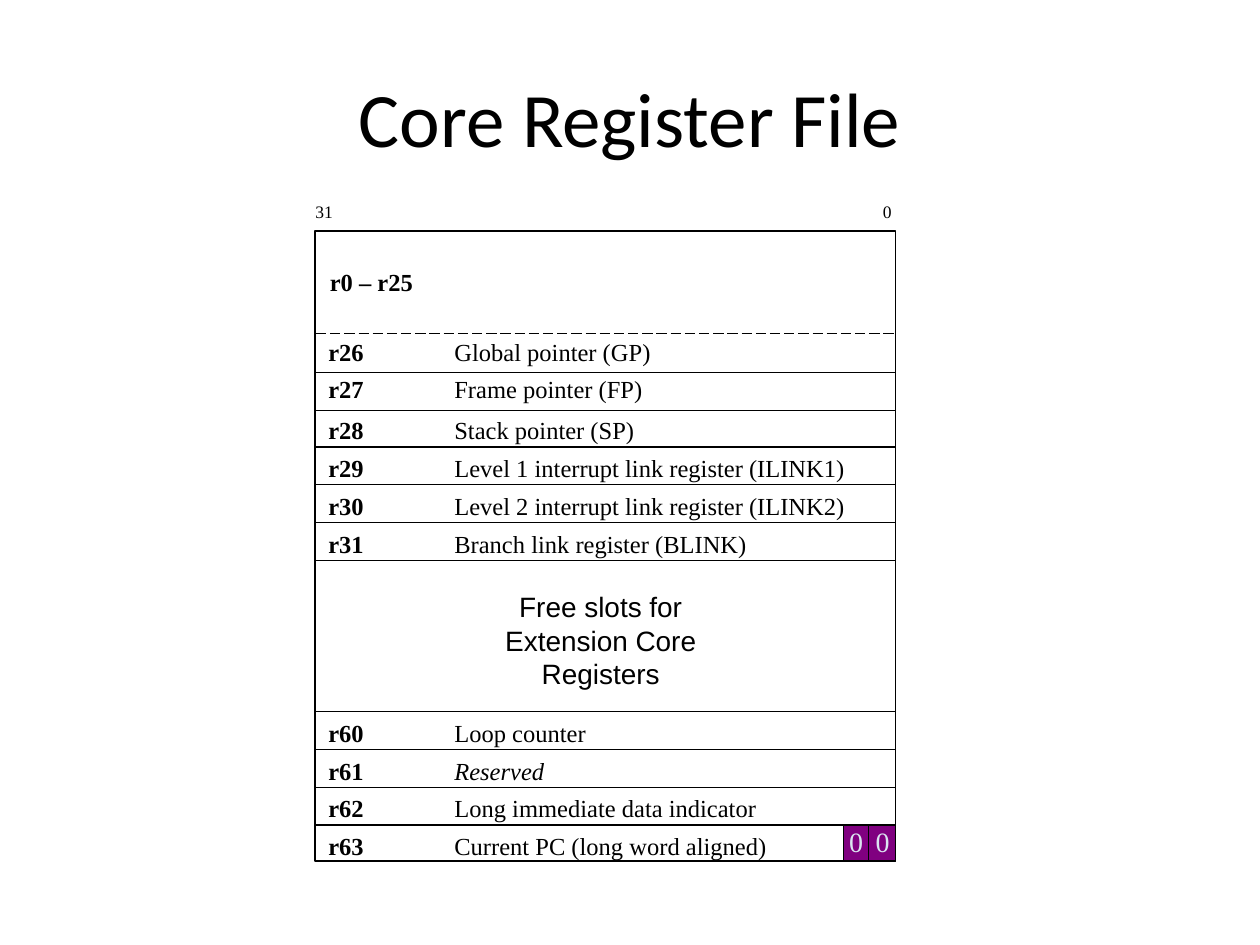
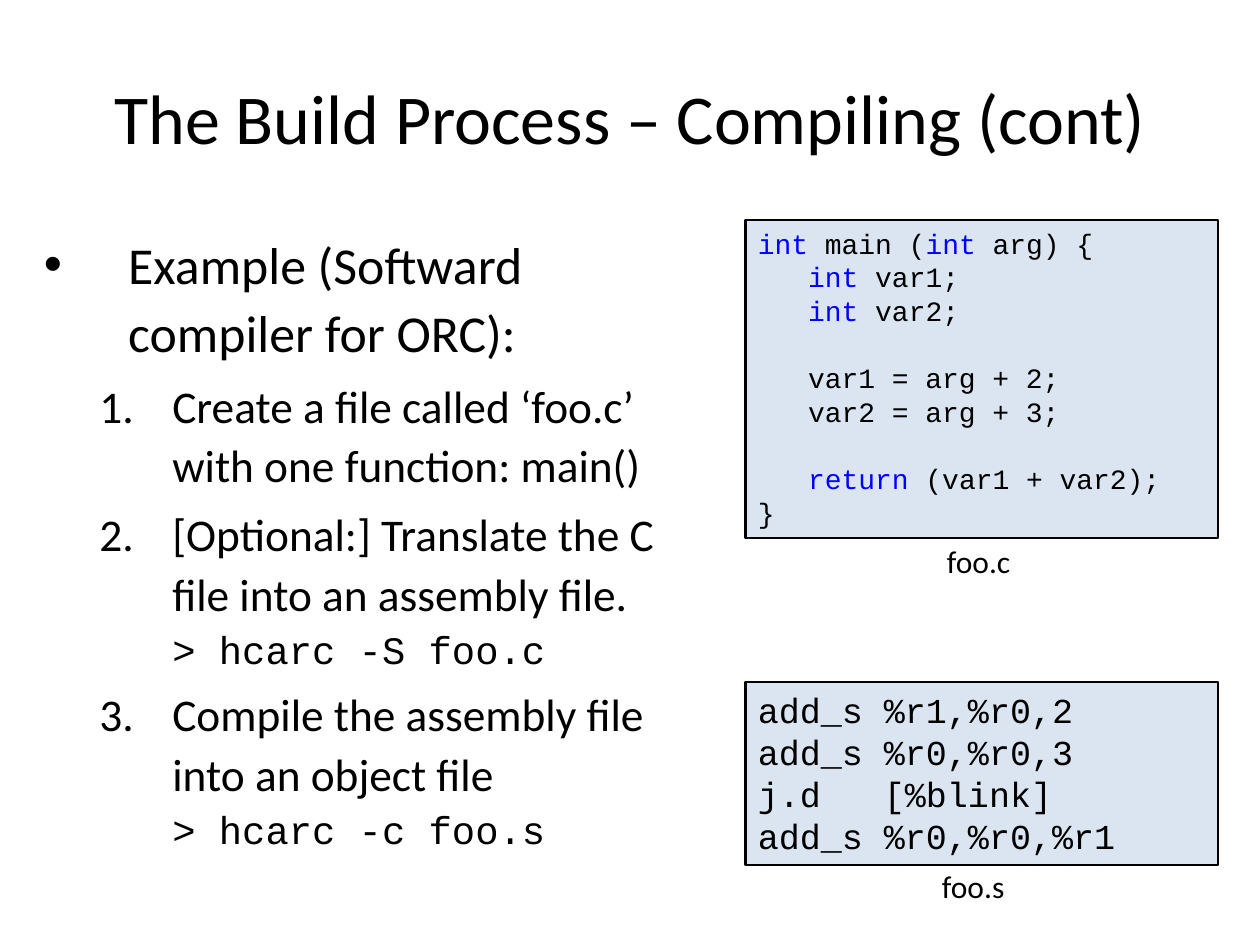
"""Builds two slides: a core register map and a compiling example."""
from copy import deepcopy
from lxml import etree
from pptx import Presentation
from pptx.dml.color import RGBColor
from pptx.enum import dml, shapes, text
from pptx.oxml import ns
from pptx.util import Cm, Pt

BLACK = RGBColor(0, 0, 0)
WHITE = RGBColor(255, 255, 255)
BLUE = RGBColor(0, 0, 255)
PALE = RGBColor(0xDB, 0xE5, 0xF1)
PURPLE = RGBColor(0x80, 0, 0x80)
SERIF, SANS, MONO, BODY = "Times New Roman", "Arial", "Courier New", "Calibri"

LEFT, WIDE, PITCH, TAB = 6.37, 11.68, 0.76, 2.54
DASH = 6.72
RULES = [7.51, 8.28]
TOPS = [6.67, 7.42, 8.24]
LINKTOPS = [9.01 + PITCH * i for i in range(3)]
LASTTOPS = [14.35 + PITCH * i for i in range(4)]
POINTERS = ["Global pointer (GP)", "Frame pointer (FP)", "Stack pointer (SP)"]
LINKS = ["Level 1 interrupt link register (ILINK1)",
         "Level 2 interrupt link register (ILINK2)",
         "Branch link register (BLINK)"]
LASTS = ["Loop counter", "Reserved", "Long immediate data indicator",
         "Current PC (long word aligned)"]
BLOCKS = [(26, TOPS, POINTERS), (29, LINKTOPS, LINKS), (60, LASTTOPS, LASTS)]

STEPS = [
    "Example (Softward compiler for ORC):",
    "Create a file called ‘foo.c’ with one function: main()",
    "[Optional:] Translate the C file into an assembly file.\n~> hcarc -S foo.c",
    "Compile the assembly file into an object file\n~> hcarc -c foo.s",
]
SOURCE = ["~int~ main (~int ~arg) {", "   ~int~ var1;", "   ~int~ var2;", "",
          "   var1 = arg + 2;", "   var2 = arg + 3;", "",
          "   ~return~ (var1 + var2);", "}"]
ASM = ["add_s\t%r1,%r0,2", "add_s\t%r0,%r0,3", "j.d\t[%blink]",
       "add_s\t%r0,%r0,%r1"]
LISTS = [(SOURCE, 4.44, 6.41, 16), (ASM, 13.75, 3.69, 20)]
NAMES = [("foo.c", 18.84, 10.8), ("foo.s", 18.74, 17.35)]


def style(run, size, face, color=BLACK, bold=False, ital=False):
    font = run.font
    font.size, font.name = Pt(size), face
    font.bold, font.italic = bold, ital
    font.color.rgb = color


def write(frame, lines, size, face, alt=None, align=None, **look):
    """Fills a frame; pieces between ~ marks take the alt format."""
    base = dict(size=size, face=face, **look)
    for i, line in enumerate(lines):
        para = frame.add_paragraph() if i else frame.paragraphs[0]
        para.alignment = align
        if "\t" in line:
            stops = etree.SubElement(para._p.get_or_add_pPr(), ns.qn("a:tabLst"))
            stop = etree.SubElement(stops, ns.qn("a:tab"))
            stop.set("pos", str(Cm(TAB)))
            stop.set("algn", "l")
        for j, piece in enumerate(line.split("~")):
            if piece:
                run = para.add_run()
                run.text = piece.rstrip("\n")
                style(run, **{**base, **(alt or {} if j % 2 else {})})
                if piece.endswith("\n"):
                    para.add_line_break()
                    para._p[-1].append(deepcopy(run._r.rPr))
        if not line:
            end = etree.SubElement(para._p, ns.qn("a:endParaRPr"))
            end.set("sz", str(size * 100))


def label(slide, words, x, y, w, h, size, face, wrap=True, **look):
    frame = slide.shapes.add_textbox(Cm(x), Cm(y), Cm(w), Cm(h)).text_frame
    frame.word_wrap = wrap
    write(frame, [words], size, face, **look)


def box(slide, x, y, w, h, fill, width):
    shape = slide.shapes.add_shape(shapes.MSO_SHAPE.RECTANGLE,
                                   Cm(x), Cm(y), Cm(w), Cm(h))
    shape.shadow.inherit = False
    shape.fill.solid()
    shape.fill.fore_color.rgb = fill
    shape.line.color.rgb = BLACK
    shape.line.width = Pt(width)
    return shape


def rule(slide, x, y, w=0, h=0, dash=None):
    line = slide.shapes.add_connector(shapes.MSO_CONNECTOR.STRAIGHT,
                                      Cm(x), Cm(y), Cm(x + w), Cm(y + h))
    line.line.color.rgb = BLACK
    line.line.width = Pt(0.75)
    if dash:
        line.line.dash_style = dash
    etree.SubElement(line._element.spPr, ns.qn("a:effectLst"))


def place(holder, x, y, w, h):
    holder.left, holder.top, holder.width, holder.height = map(Cm, (x, y, w, h))
    holder.text_frame.auto_size = text.MSO_AUTO_SIZE.NONE
    return holder.text_frame


def start(deck, layout, title, size):
    slide = deck.slides.add_slide(deck.slide_layouts[layout])
    slide.background.fill.solid()
    slide.background.fill.fore_color.rgb = WHITE
    frame = place(slide.shapes.title, 1.27, 0.76, 22.86, 3.18)
    frame.vertical_anchor = text.MSO_ANCHOR.MIDDLE
    write(frame, [title], size, BODY, align=text.PP_ALIGN.CENTER)
    return slide


def bullet(para, tag, key, value, face, margin, hang):
    props = para._p.get_or_add_pPr()
    props.set("marL", str(Cm(margin)))
    props.set("indent", str(-Cm(hang)))
    etree.SubElement(props, ns.qn("a:buFont")).set("typeface", face)
    etree.SubElement(props, ns.qn(tag)).set(key, value)


def registers(deck):
    slide = start(deck, 5, "Core Register File", 44)
    box(slide, 6.35, 4.66, 11.7, 12.7, WHITE, 0.75)
    box(slide, 17, 16.63, 1.06, 0.73, PURPLE, 0.75)
    rule(slide, 17.51, 16.63, h=0.73)
    rule(slide, LEFT, DASH, WIDE, dash=dml.MSO_LINE.LONG_DASH)
    for y in RULES + LINKTOPS + [11.3] + LASTTOPS:
        rule(slide, LEFT, y, WIDE)
    for x, w, bit in ((6.11, 1.27, "31"), (17.55, 0.76, "0")):
        label(slide, bit, x, 3.92, w, 0.76, 10, SERIF)
    label(slide, "r0 – r25", 6.4, 5.26, 4.06, 0.76, 14, SERIF, bold=True)
    for first, rows, names in BLOCKS:
        for i, (y, name) in enumerate(zip(rows, names)):
            label(slide, f"~r{first + i}\t~{name}", LEFT, y, 11.43, 0.76, 14,
                  SERIF, alt=dict(bold=True, ital=False), ital=name == "Reserved")
    label(slide, "Free slots for Extension Core Registers", 9.47, 11.76, 5.28,
          1.9, 16, SANS, align=text.PP_ALIGN.CENTER)
    for x in (16.87, 17.4):
        label(slide, "0", x, 16.5, 0.79, 0.94, 16, SERIF, wrap=False, color=PALE)


def build(deck):
    slide = start(deck, 1, "The Build Process – Compiling (cont)", 40)
    frame = place(slide.placeholders[1], 0.63, 4.44, 13.54, 13.33)
    write(frame, STEPS, 25.9, BODY, alt=dict(size=22.2, face=MONO))
    for i, para in enumerate(frame.paragraphs):
        para.level = min(i, 1)
        para.line_spacing = 1.1
        para.space_before = Pt(5.2 if i else 0)
        if i:
            bullet(para, "a:buAutoNum", "type", "arabicPeriod", BODY, 2.59, 1.47)
        else:
            para.runs[0].font.size = Pt(29.6)
            bullet(para, "a:buChar", "char", "•", SANS, 1.7, 1.7)
    for lines, y, h, size in LISTS:
        frame = box(slide, 15.03, y, 9.53, h, PALE, 1.25).text_frame
        frame.word_wrap = True
        frame.vertical_anchor = text.MSO_ANCHOR.TOP
        write(frame, lines, size, MONO, alt=dict(color=BLUE),
              align=text.PP_ALIGN.LEFT)
    for name, x, y in NAMES:
        label(slide, name, x, y, 2.1, 1.02, 18, BODY)


def main():
    deck = Presentation()
    deck.slide_width, deck.slide_height = Cm(25.4), Cm(19.05)
    registers(deck)
    build(deck)
    deck.save("out.pptx")


if __name__ == "__main__":
    main()
